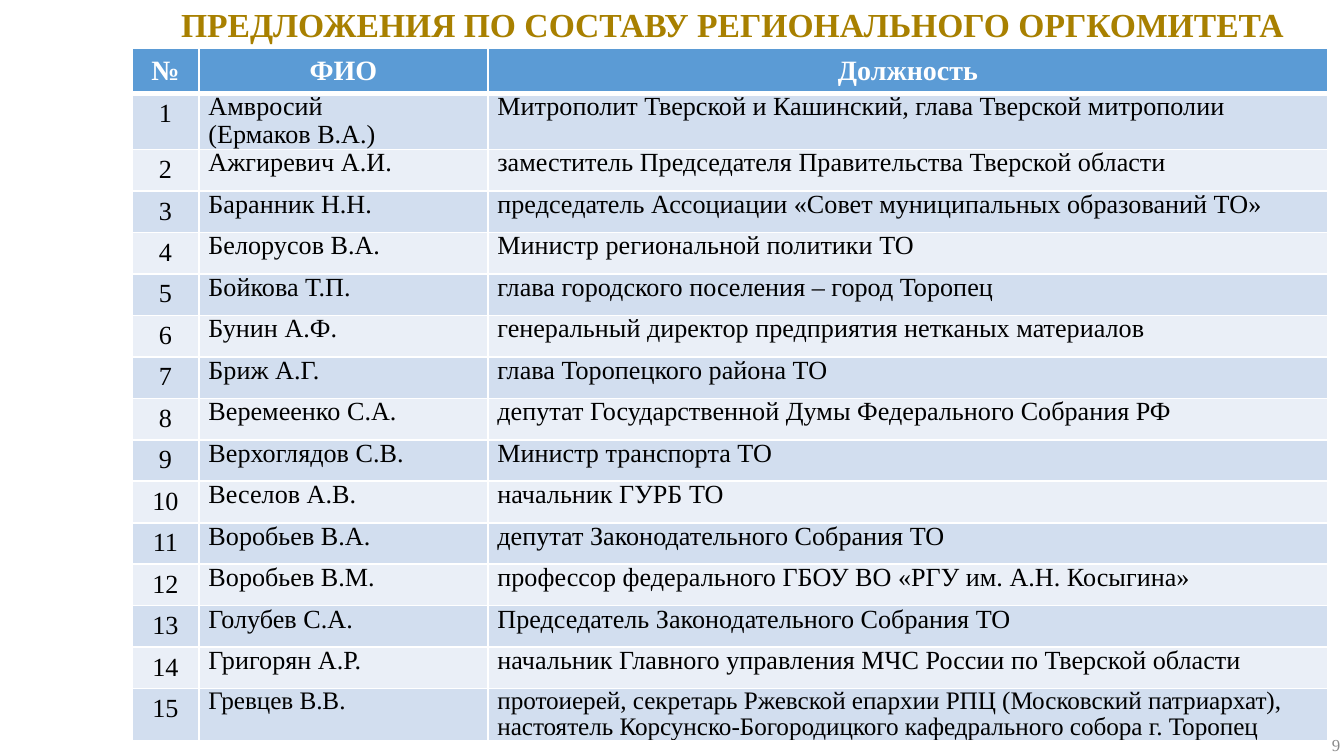
from dataclasses import dataclass

from lxml.etree import SubElement
from pptx import Presentation
from pptx.dml.color import RGBColor
from pptx.enum.text import MSO_ANCHOR, PP_ALIGN
from pptx.oxml.ns import qn
from pptx.util import Cm, Pt


@dataclass(frozen=True)
class Theme:
    font: str = "Times New Roman"
    gold: str = "A88000"
    gray: str = "898989"
    white: str = "FFFFFF"
    black: str = "000000"
    head: str = "5B9BD5"
    bands: tuple = ("D2DEEF", "EAEFF7")
    title: float = 18
    header: float = 15
    body: float = 14
    small: float = 13.5
    page: float = 9


THEME = Theme()

HEADS = ("№", "ФИО", "Должность")
PEOPLE = [
    ("Амвросий\n(Ермаков В.А.)", "Митрополит Тверской и Кашинский, глава Тверской митрополии"),
    ("Ажгиревич А.И.", "заместитель Председателя Правительства Тверской области"),
    ("Баранник Н.Н.", "председатель Ассоциации «Совет муниципальных образований ТО»"),
    ("Белорусов В.А.", "Министр региональной политики ТО"),
    ("Бойкова Т.П.", "глава городского поселения – город Торопец"),
    ("Бунин А.Ф.", "генеральный директор предприятия нетканых материалов"),
    ("Бриж А.Г.", "глава Торопецкого района ТО"),
    ("Веремеенко С.А.", "депутат Государственной Думы Федерального Собрания РФ"),
    ("Верхоглядов С.В.", "Министр транспорта ТО"),
    ("Веселов А.В.", "начальник ГУРБ ТО"),
    ("Воробьев В.А.", "депутат Законодательного Собрания ТО"),
    ("Воробьев В.М.", "профессор федерального ГБОУ ВО «РГУ им. А.Н. Косыгина»"),
    ("Голубев С.А.", "Председатель Законодательного Собрания ТО"),
    ("Григорян А.Р.", "начальник Главного управления МЧС России по Тверской области"),
    ("Гревцев В.В.", "протоиерей, секретарь Ржевской епархии РПЦ (Московский патриархат), "
                     "настоятель Корсунско-Богородицкого кафедрального собора г. Торопец"),
]


def write(frame, text, size, color, align=PP_ALIGN.LEFT, bold=False, lead=None):
    """Fill a text frame, one paragraph for each line of text."""
    frame.word_wrap = True
    for i, line in enumerate(text.split("\n")):
        para = frame.add_paragraph() if i else frame.paragraphs[0]
        para.alignment = align
        if lead:
            para.line_spacing = Pt(lead)
        run = para.add_run()
        run.text = line
        font = run.font
        font.name, font.size, font.bold = THEME.font, Pt(size), bold
        font.color.rgb = RGBColor.from_string(color)


def edge(cell, top=1, bottom=1):
    """Draw white cell borders with the given widths in points."""
    props = cell._tc.get_or_add_tcPr()
    for tag, width in (("lnL", 1), ("lnR", 1), ("lnT", top), ("lnB", bottom)):
        line = SubElement(props, qn(f"a:{tag}"), w=str(Pt(width)))
        fill = SubElement(line, qn("a:solidFill"))
        SubElement(fill, qn("a:srgbClr"), val=THEME.white)


def paint(cell, color):
    cell.fill.solid()
    cell.fill.fore_color.rgb = RGBColor.from_string(color)


def add_label(slide, box, text, size, color, align, bold=False, anchor=MSO_ANCHOR.TOP):
    frame = slide.shapes.add_textbox(*box).text_frame
    frame.vertical_anchor = anchor
    write(frame, text, size, color, align, bold)


def add_roster(slide, box):
    left, top, width, height = box
    last = len(PEOPLE)
    table = slide.shapes.add_table(last + 1, len(HEADS), *box).table

    # Columns: the last one takes the remaining width
    number, name = Cm(1.27), Cm(5.46)
    for col, size in zip(table.columns, (number, name, width - number - name)):
        col.width = size

    # Rows: the one-line rows share what the taller ones leave
    tall = {0: Cm(0.85), 1: Cm(1.06), last: Cm(0.99)}
    even = (height - sum(tall.values())) // (last + 1 - len(tall))
    for i, row in enumerate(table.rows):
        row.height = tall.get(i, even)

    # Header
    for cell, text in zip(table.rows[0].cells, HEADS):
        edge(cell, bottom=3)
        paint(cell, THEME.head)
        write(cell.text_frame, text, THEME.header, THEME.white, PP_ALIGN.CENTER, True, 17)

    # Members
    for i, person in enumerate(PEOPLE, 1):
        for j, text in enumerate((str(i), *person)):
            cell = table.cell(i, j)
            edge(cell, top=3 if i == 1 else 1)
            paint(cell, THEME.bands[(i - 1) % 2])
            size, lead, align = THEME.body, 15, PP_ALIGN.CENTER
            if j:
                align = PP_ALIGN.LEFT
                cell.margin_left = cell.margin_right = Cm(0.18)
                cell.margin_top = cell.margin_bottom = 0
                if i == last:
                    size, lead = THEME.small, 14
            write(cell.text_frame, text, size, THEME.black, align, lead=lead)


def main():
    deck = Presentation()
    deck.slide_width, deck.slide_height = Cm(25.4), Cm(14.29)
    slide = deck.slides.add_slide(deck.slide_layouts[6])

    # Title
    add_label(slide, (Cm(2.18), Cm(-0.05), Cm(23.34), Cm(1.02)),
              "ПРЕДЛОЖЕНИЯ ПО СОСТАВУ РЕГИОНАЛЬНОГО ОРГКОМИТЕТА",
              THEME.title, THEME.gold, PP_ALIGN.CENTER, True)
    # Page number
    add_label(slide, (Cm(24.49), Cm(13.59), Cm(1.09), Cm(0.99)), "9",
              THEME.page, THEME.gray, PP_ALIGN.RIGHT, anchor=MSO_ANCHOR.MIDDLE)
    # Committee table
    add_roster(slide, (Cm(2.49), Cm(0.91), Cm(22.61), Cm(13.08)))

    deck.save("out.pptx")


if __name__ == "__main__":
    main()
